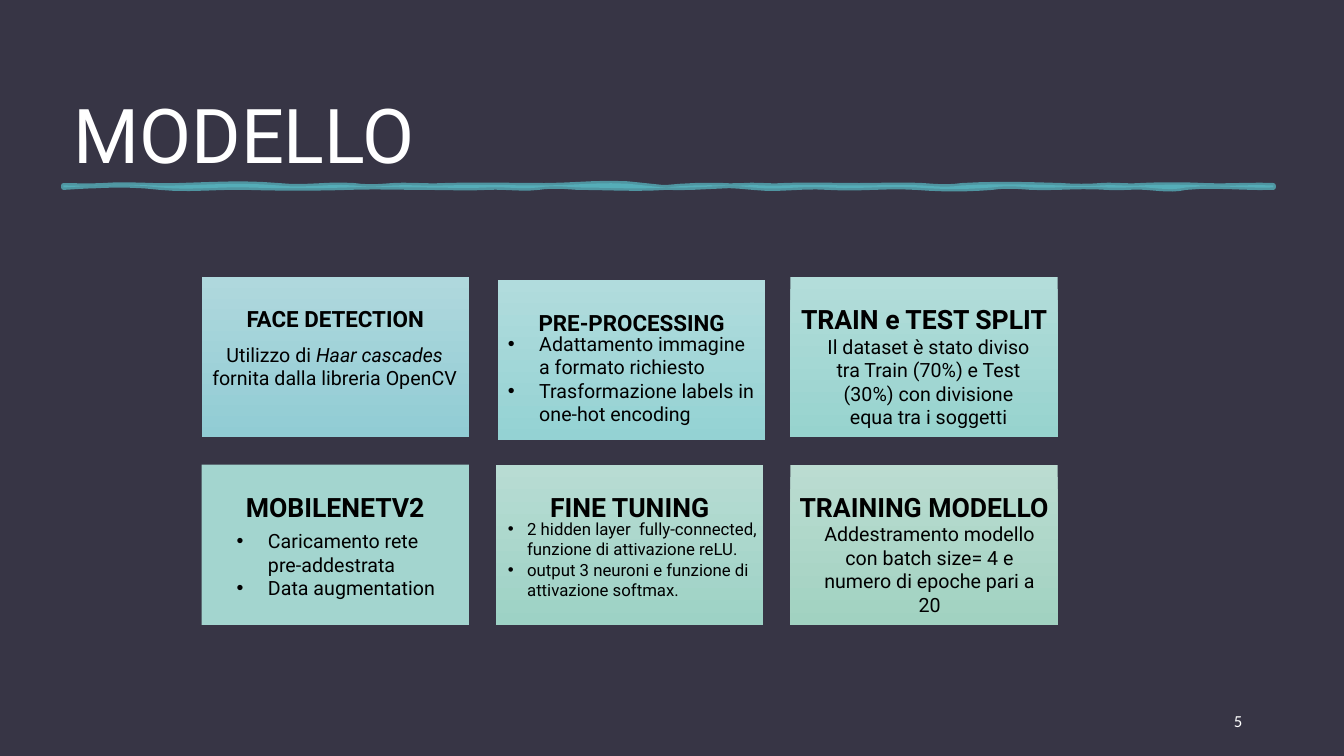
from lxml.etree import SubElement
from pptx import Presentation
from pptx.dml.color import RGBColor as Rgb
from pptx.enum.shapes import MSO_SHAPE as Preset
from pptx.enum.text import MSO_ANCHOR as Anchor, PP_ALIGN as Align
from pptx.oxml.ns import qn
from pptx.util import Inches, Pt

COLORS = {"background": "373545", "light": "FFFFFF", "dark": "000000", "wave": "58B6C0"}
GRID_LEFT, GRID_TOP = 2, 2.75
COLUMN_STEP, ROW_STEP = 2.92, 1.86
CARD_WIDTH, CARD_HEIGHT = 2.65, 1.59
HEADING_HEIGHT = 0.83

CARDS = [
    dict(column=0, row=0, shades=("AFD8DD", "91CCD4"), heading="FACE DETECTION", heading_size=16,
         body=["Utilizzo di *Haar cascades *fornita dalla libreria OpenCV"],
         body_box=(0, 0.6, 2.64, 0.81)),
    dict(column=1, row=0, nudge=(0.02, 0.03), shades=("B1DCDD", "94D2D3"),
         heading="PRE-PROCESSING", heading_size=16,
         body=["Adattamento immagine a formato richiesto",
               "Trasformazione labels in one-hot encoding"],
         body_box=(0, 0.46, 2.64, 1.04), indent=0.31),
    dict(column=2, row=0, shades=("B3DDDA", "97D3CE"), heading="TRAIN e TEST SPLIT",
         body=["Il dataset è stato diviso tra Train (70%) e Test (30%) "
               "con divisione equa tra i soggetti"],
         body_box=(0.2, 0.52, 2.34, 1.04)),
    dict(column=0, row=1, shades=("A3D5CF",), heading="MOBILENETV2",
         body=["Caricamento rete pre-addestrata", "Data augmentation"],
         body_box=(0.25, 0.59, 2.3, 0.81), indent=0.31),
    dict(column=1, row=1, shades=("B8DCD3", "9DD2C5"), heading="FINE TUNING",
         body=["2 hidden layer  fully-connected, funzione di attivazione reLU.",
               "output 3 neuroni e funzione di attivazione softmax."],
         body_box=(0.02, 0.49, 2.86, 0.91), body_size=12, indent=0.19),
    dict(column=2, row=1, shades=("BBDCD1", "A1D2C1"), heading="TRAINING MODELLO",
         body=["Addestramento modello con batch size= 4 e numero di epoche pari a 20"],
         body_box=(0.23, 0.52, 2.3, 1.04)),
]

WAVE_LEFT, WAVE_RIGHT, WAVE_TOP, WAVE_BOTTOM = 0.63, 12.63, 1.84, 1.86
UPPER_BENDS = [
    (1.02, 0, 1), (1.77, -2, 1), (2.76, -1, -3), (3.51, 3, -2), (3.9, 2, 1), (4.41, -1, 1),
    (5.4, -1, 0), (6.39, 0, -5), (7.38, 5, 0), (7.77, -1, 1), (8.52, -1, 0), (9.15, 0, -1),
    (9.54, 1, 2), (10.53, -2, -1), (10.92, 1, 1), (11.31, -1, 1), (11.94, -1, -1),
    (WAVE_RIGHT, 1, -1),
]
LOWER_BENDS = [
    (11.76, 1, -3), (11.37, 3, 1), (10.98, -1, 1), (10.23, -2, 1), (9.84, -1, -2), (9.09, 2, 2),
    (8.22, -2, 2), (7.47, -2, 3), (6.6, -3, -3), (5.73, 2, 0), (5.34, -1, -2), (4.83, 2, -1),
    (4.2, 1, 0), (3.45, 0, -1), (2.46, 1, 1), (1.59, -1, 3), (WAVE_LEFT, -4, -2),
]


def add_bullet(paragraph, indent):
    """Give a paragraph a round bullet with a hanging indent in inches."""
    properties = paragraph._p.get_or_add_pPr()
    properties.set("marL", str(Inches(indent)))
    properties.set("indent", str(-Inches(indent)))
    SubElement(properties, qn("a:buFont")).set("typeface", "Arial")
    SubElement(properties, qn("a:buChar")).set("char", "•")


def write_text(frame, paragraphs, size, color="dark", font="Roboto", bold=False,
               align=Align.CENTER, anchor=Anchor.TOP, spacing=None, indent=None):
    """Fill a frame with paragraphs, where asterisks enclose italic words."""
    frame.word_wrap = True
    frame.vertical_anchor = anchor
    for index, words in enumerate(paragraphs):
        paragraph = frame.add_paragraph() if index else frame.paragraphs[0]
        paragraph.alignment = align
        if spacing:
            paragraph.line_spacing = spacing
        if indent:
            add_bullet(paragraph, indent)
        for position, piece in enumerate(words.split("*")):
            run = paragraph.add_run()
            run.text = piece
            run.font.name, run.font.size = font, Pt(size)
            run.font.bold, run.font.italic = bold, position % 2 == 1
            run.font.color.rgb = Rgb.from_string(COLORS[color])


def add_label(slide, box, paragraphs, **text_format):
    """Place a text box given as left, top, width and height in inches."""
    label = slide.shapes.add_textbox(*map(Inches, box))
    write_text(label.text_frame, paragraphs, **text_format)


def add_card(slide, column, row, shades, heading, body, body_box,
             nudge=(0, 0), heading_size=19, body_size=14, indent=None):
    """Draw one step of the model with its heading and its description."""
    left = GRID_LEFT + column * COLUMN_STEP + nudge[0]
    top = GRID_TOP + row * ROW_STEP + nudge[1]
    card = slide.shapes.add_shape(
        Preset.RECTANGLE, *map(Inches, (left, top, CARD_WIDTH, CARD_HEIGHT)))
    card.shadow.inherit = False
    card.line.fill.background()
    if len(shades) == 1:
        card.fill.solid()
        card.fill.fore_color.rgb = Rgb.from_string(shades[0])
    else:
        card.fill.gradient()
        card.fill.gradient_angle = 270
        for stop, shade in zip(card.fill.gradient_stops, shades):
            stop.color.rgb = Rgb.from_string(shade)
    frame = card.text_frame
    frame.margin_left = frame.margin_right = Inches(0.05)
    frame.margin_top = 0
    frame.margin_bottom = Inches(CARD_HEIGHT - HEADING_HEIGHT)
    write_text(frame, [heading], size=heading_size, bold=True, anchor=Anchor.MIDDLE)
    dx, dy, width, height = body_box
    add_label(slide, (left + dx, top + dy, width, height), body, size=body_size,
              align=Align.LEFT if indent else Align.CENTER, indent=indent)


def trace_edge(start, level, bends, steps=6):
    """Return points along cubic bends whose pulls are in hundredths of an inch."""
    points = [(start, level)]
    for end, first_pull, second_pull in bends:
        for step in range(1, steps + 1):
            t = step / steps
            pull = 3 * t * (1 - t) * ((1 - t) * first_pull + t * second_pull) / 100
            points.append((start + (end - start) * t, level + pull))
        start = end
    return points


def add_wave(slide):
    """Draw the translucent hand-drawn rule under the title."""
    outline = (trace_edge(WAVE_LEFT, WAVE_TOP, UPPER_BENDS)
               + trace_edge(WAVE_RIGHT, WAVE_BOTTOM, LOWER_BENDS))
    points = [(Inches(x), Inches(y)) for x, y in outline]
    builder = slide.shapes.build_freeform(*points[0])
    builder.add_line_segments(points[1:], close=True)
    wave = builder.convert_to_shape()
    wave.shadow.inherit = False
    wave.line.width = Pt(3.5)
    for paint in (wave.fill, wave.line.fill):
        paint.solid()
        paint.fore_color.rgb = Rgb.from_string(COLORS["wave"])
    for tint in wave._element.spPr.iter(qn("a:srgbClr")):
        SubElement(tint, qn("a:alpha")).set("val", "75000")


def main():
    """Build the slide about the model and save it."""
    deck = Presentation()
    deck.slide_width, deck.slide_height = Inches(13.33), Inches(7.5)
    slide = deck.slides.add_slide(deck.slide_layouts[6])
    slide.background.fill.solid()
    slide.background.fill.fore_color.rgb = Rgb.from_string(COLORS["background"])
    add_label(slide, (0.63, 0.26, 12.05, 1.57), ["MODELLO"], size=54, color="light",
              align=Align.LEFT, anchor=Anchor.BOTTOM, spacing=0.9)
    add_wave(slide)
    add_label(slide, (9.42, 6.95, 3, 0.4), ["5"], size=12, color="light", font="Calibri",
              align=Align.RIGHT, anchor=Anchor.MIDDLE)
    for card in CARDS:
        add_card(slide, **card)
    deck.save("out.pptx")


if __name__ == "__main__":
    main()
